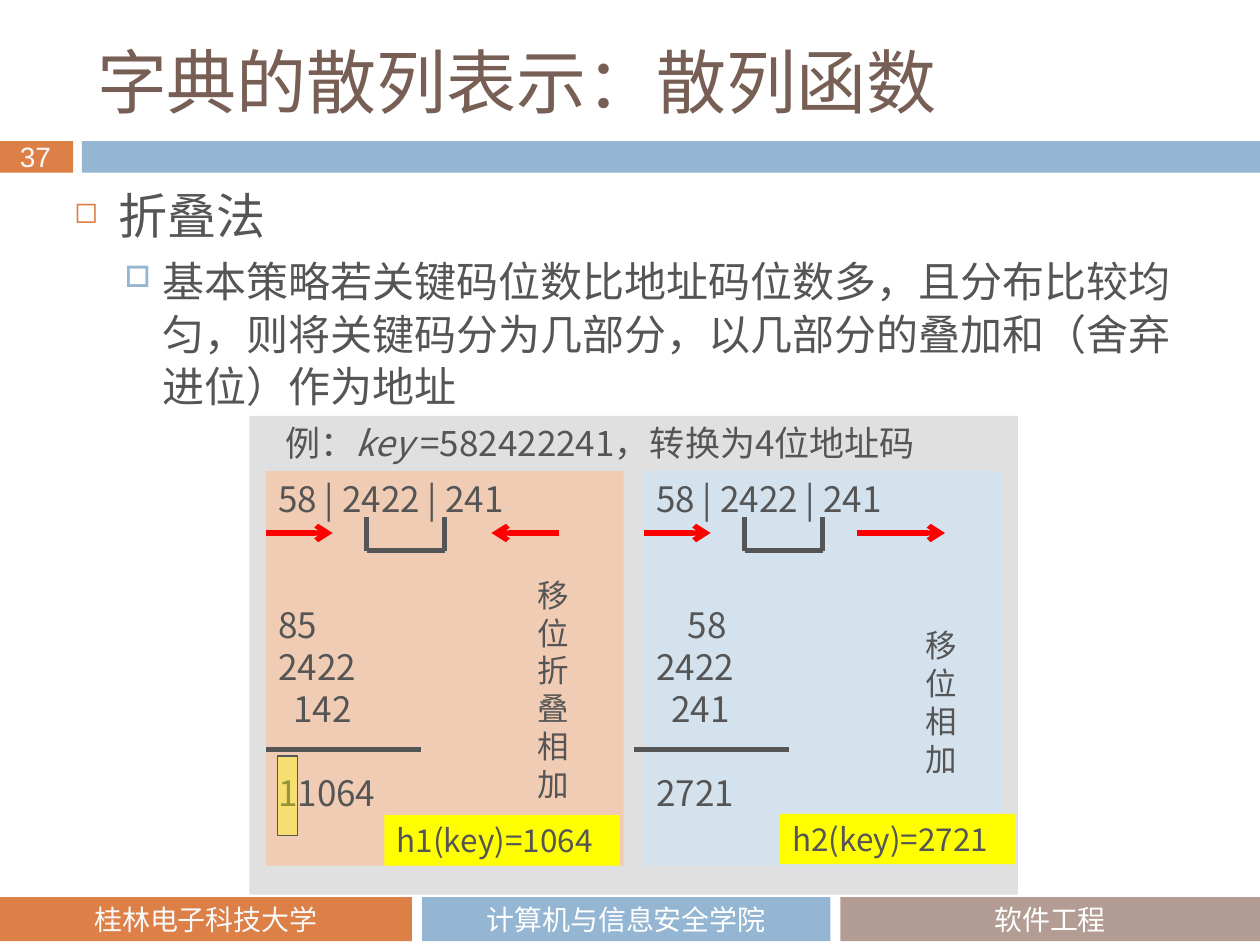
from dataclasses import dataclass

from lxml import etree
from pptx import Presentation
from pptx import util as u
from pptx.dml.color import RGBColor
from pptx.enum import shapes, text
from pptx.oxml.ns import qn

In, Pt = u.Inches, u.Pt


@dataclass(frozen=True)
class Theme:
    # colours
    orange: str = "DD8047"
    blue: str = "94B6D2"
    taupe: str = "B29C93"
    brown: str = "775F55"
    ink: str = "555555"
    white: str = "FFFFFF"
    pale: str = "F9F9F9"
    gray: str = "E0E0E0"
    peach: str = "F1CCB5"
    sky: str = "D4E2ED"
    yellow: str = "FFFF00"
    red: str = "FF0000"
    # fonts
    sans: str = "Noto Sans CJK SC"
    head: str = "Noto Sans CJK JP"
    foot: str = "Calibri"
    num: str = "Arial"
    # type sizes
    title: int = 40
    main: int = 28
    sub: int = 24
    calc: int = 20
    label: int = 18
    small: int = 16


T = Theme()
LEFT, MID = text.PP_ALIGN.LEFT, text.PP_ALIGN.CENTER


def node(up, tag, **attrs):
    return etree.SubElement(up, qn(tag), attrs)


def write(frame, words, *, size=T.calc, color=T.ink, font=T.sans, align=LEFT,
          lead=None, before=0, left=0, hang=0, bullet=None, italic=()):
    """Add a paragraph; words is a string or a list of runs."""
    para = frame.paragraphs[0]
    if para.runs:
        para = frame.add_paragraph()
    para.alignment = align
    para.line_spacing = Pt(lead or size * 1.2)
    para.space_before = Pt(before)
    prop = para._p.get_or_add_pPr()
    prop.set("marL", str(In(left)))
    prop.set("indent", str(In(-hang)))
    if bullet:
        mark, tint, part = bullet
        node(node(prop, "a:buClr"), "a:srgbClr", val=tint)
        node(prop, "a:buSzPct", val=str(part * 1000))
        node(prop, "a:buChar", char=mark)
    else:
        node(prop, "a:buNone")
    for i, word in enumerate([words] if isinstance(words, str) else words):
        run = para.add_run()
        run.text = word
        run.font.size = Pt(size)
        run.font.name = font
        run.font.italic = i in italic
        run.font.color.rgb = RGBColor.from_string(color)
        node(run._r.get_or_add_rPr(), "a:ea", typeface=font)


class Page:
    """Holds the theme and the current slide."""

    def __init__(self, deck):
        self.slide = deck.slides.add_slide(deck.slide_layouts[5])
        self.all = self.slide.shapes

    def title(self, words, x, y, w, h):
        box = self.all.title
        box.left, box.top, box.width, box.height = map(In, (x, y, w, h))
        box.text_frame.vertical_anchor = text.MSO_ANCHOR.MIDDLE
        write(box.text_frame, words, size=T.title, color=T.brown, font=T.head)

    def rect(self, x, y, w, h, fill, alpha=None, line=None, mid=False):
        box = self.all.add_shape(shapes.MSO_SHAPE.RECTANGLE, In(x), In(y), In(w), In(h))
        box.shadow.inherit = False
        box.fill.solid()
        box.fill.fore_color.rgb = RGBColor.from_string(fill)
        if alpha:
            tint = box._element.spPr.find(".//" + qn("a:srgbClr"))
            node(tint, "a:alpha", val=str(alpha * 1000))
        if line:
            box.line.color.rgb = RGBColor.from_string(line)
            box.line.width = Pt(0.75)
        else:
            box.line.fill.background()
        frame = box.text_frame
        frame.word_wrap = True
        frame.vertical_anchor = text.MSO_ANCHOR.MIDDLE if mid else text.MSO_ANCHOR.TOP
        return frame

    def box(self, x, y, w, h):
        frame = self.all.add_textbox(In(x), In(y), In(w), In(h)).text_frame
        frame.word_wrap = True
        return frame

    def line(self, x1, y1, x2, y2, color=T.ink, arrow=False):
        link = self.all.add_connector(shapes.MSO_CONNECTOR.STRAIGHT,
                                      In(x1), In(y1), In(x2), In(y2))
        link.line.color.rgb = RGBColor.from_string(color)
        link.line.width = Pt(3)
        if arrow:
            node(link.line._get_or_add_ln(), "a:tailEnd", type="arrow")
        node(link._element.spPr, "a:effectLst")

    def panel(self, x, fill, rows, bar, arrow):
        """Key split in three, the addends, the sum bar and the sum."""
        frame = self.rect(x, 3.74, 2.84, 3.13, fill)
        write(frame, "58 | 2422 | 241")
        for words, left, before in rows:
            write(frame, words, left=left, before=before)
        # arrows show the reading direction of the outer parts
        self.line(x, 4.23, x + 0.53, 4.23, T.red, arrow=True)
        self.line(arrow[0], 4.23, arrow[1], 4.23, T.red, arrow=True)
        # bracket under the middle part
        a, b, top, low = x + 0.8, x + 1.42, 4.1, 4.37
        for ends in ((a, top, a, low), (a, low, b, low), (b, low, b, top)):
            self.line(*ends)
        self.line(bar, 5.95, bar + 1.23, 5.95)


def main():
    deck = Presentation()
    deck.slide_width, deck.slide_height = In(10), In(7.5)
    page = Page(deck)

    # header band and page number
    page.rect(0, 1.12, 0.58, 0.25, T.orange)
    page.rect(0.65, 1.12, 9.35, 0.25, T.blue)
    write(page.box(0.06, 1.06, 0.48, 0.37), "37", size=T.small, color=T.pale, font=T.num)

    # footer
    for x, w, fill, color, words in (
            (0, 3.27, T.orange, T.pale, "桂林电子科技大学"),
            (3.35, 3.24, T.blue, T.white, "计算机与信息安全学院"),
            (6.67, 3.33, T.taupe, T.white, "软件工程")):
        write(page.rect(x, 7.12, w, 0.35, fill, mid=True), words,
              size=T.small, color=color, font=T.foot, align=MID)

    # title and bullets
    page.title("字典的散列表示：散列函数", 0.67, 0.25, 8.92, 0.78)
    body = page.box(0.49, 1.47, 8.92, 1.95)
    write(body, "折叠法", size=T.main, lead=30, left=0.35, hang=0.35,
          bullet=("◻", T.orange, 60))
    write(body, "基本策略若关键码位数比地址码位数多，且分布比较均匀，"
          "则将关键码分为几部分，以几部分的叠加和（舍弃进位）作为地址",
          size=T.sub, lead=30, before=5.5, left=0.7, hang=0.3,
          bullet=("□", T.blue, 70))

    # example: fold at the borders, then plain shift
    write(page.rect(1.98, 3.3, 6.1, 3.8, T.gray),
          ["例：", "key ", "=582422241，转换为4位地址码"], left=0.19, italic=(1,))
    page.panel(2.11, T.peach, (("85", 0, 48), ("2422", 0, 0), ("142", 0.12, 0),
                               ("11064", 0, 24)), 2.11, (4.44, 3.9))
    page.rect(2.2, 6, 0.16, 0.63, T.yellow, alpha=38, line=T.ink)
    page.panel(5.11, T.sky, (("58", 0.25, 48), ("2422", 0, 0), ("241", 0.12, 0),
                             ("2721", 0, 24)), 5.03, (6.8, 7.5))

    # method names, one character a line
    write(page.box(4.17, 4.52, 0.52, 1.92), "移位折叠相加", size=T.label)
    write(page.box(7.25, 4.92, 0.4, 1.31), "移位相加", size=T.label)

    # resulting addresses
    for x, y, words in ((3.05, 6.47, "h1(key)=1064"), (6.19, 6.46, "h2(key)=2721")):
        write(page.rect(x, y, 1.87, 0.4, T.yellow), words, size=T.label)

    deck.save("out.pptx")


if __name__ == "__main__":
    main()
